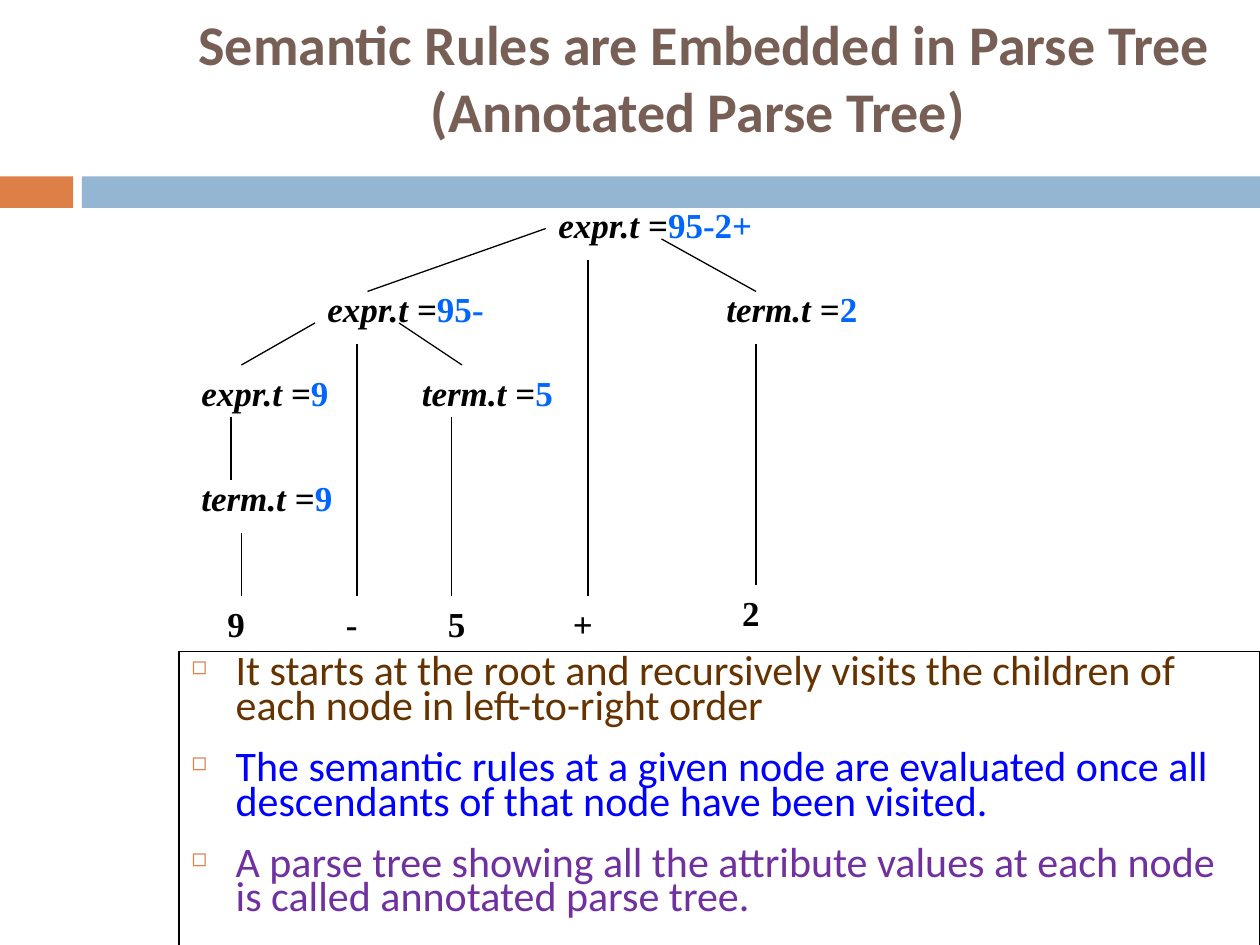
from dataclasses import dataclass

from lxml.etree import SubElement
from pptx import Presentation
from pptx.dml.color import RGBColor
from pptx.enum.shapes import MSO_CONNECTOR, MSO_SHAPE
from pptx.enum.text import MSO_ANCHOR, MSO_AUTO_SIZE, PP_ALIGN
from pptx.oxml.ns import qn
from pptx.util import Inches, Pt


@dataclass(frozen=True)
class Theme:
    """Colours, fonts and type sizes of the slide."""
    orange: str = "DD8047"
    band: str = "94B6D2"
    title: str = "775F55"
    ink: str = "000000"
    value: str = "0066FF"
    brown: str = "663300"
    blue: str = "0000FF"
    purple: str = "7030A0"
    sans: str = "Calibri"
    serif: str = "Times New Roman"
    title_size: int = 32
    body_size: int = 24
    node_size: int = 20
    line_width: float = 0.75


T = Theme()
CELL = 1 / 12
TREE_SHIFT = -0.02

NODES = [
    (52, 19, 21, "expr.t =", "95-2+"),
    (30, 27, 18, "expr.t =", "95-"),
    (68, 27, 18, "term.t =", "2"),
    (18, 35, 18, "expr.t =", "9"),
    (39, 35, 18, "term.t =", "5"),
    (18, 45, 18, "term.t =", "9"),
]
LEAVES = [(18, 57, "9"), (29, 57, "-"), (39, 57, "5"), (51, 57, "+"), (67, 56, "2")]
BRANCHES = [
    (52, 22, 35, 28), (56, 25, 56, 57), (63, 23, 72, 28),
    (30, 31, 23, 35), (34, 33, 34, 57), (44, 35, 38, 31),
    (22, 40, 22, 46), (43, 40, 43, 57), (72, 33, 72, 56), (23, 51, 23, 57),
]
POINTS = [
    ("It starts at the root and recursively visits the children of "
     "each node in left-to-right order", T.brown),
    ("The semantic rules at a given node are evaluated once all "
     "descendants of that node have been visited.", T.blue),
    ("A parse tree showing all the attribute values at each node "
     "is called annotated parse tree.", T.purple),
]


def rgb(color):
    """Turn a hex string into a colour."""
    return RGBColor.from_string(color)


def col(n):
    """Horizontal position of a tree column."""
    return Inches(n * CELL)


def row(n):
    """Vertical position of a tree row."""
    return Inches(n * CELL + TREE_SHIFT)


def place(sp, left, top, width, height):
    """Move and size a shape, in inches."""
    sp.left, sp.top = Inches(left), Inches(top)
    sp.width, sp.height = Inches(width), Inches(height)


def add_run(p, text, font, size, color, bold=False, italic=False):
    """Add one formatted run."""
    r = p.add_run()
    r.text = text
    r.font.name, r.font.size = font, Pt(size)
    r.font.bold, r.font.italic = bold, italic
    r.font.color.rgb = rgb(color)


def add_band(s, left, width, color):
    """Add one piece of the bar under the title."""
    sp = s.shapes.add_shape(MSO_SHAPE.RECTANGLE, Inches(left), Inches(1.4),
                            Inches(width), Inches(0.25))
    sp.shadow.inherit = False
    sp.fill.solid()
    sp.fill.fore_color.rgb = rgb(color)
    sp.line.fill.background()


def fill_title(sp, lines):
    """Write the centred title, one line per entry."""
    place(sp, 1.18, 0, 8.82, 1.22)
    tf = sp.text_frame
    tf.auto_size, tf.vertical_anchor = MSO_AUTO_SIZE.NONE, MSO_ANCHOR.MIDDLE
    p = tf.paragraphs[0]
    p.alignment = PP_ALIGN.CENTER
    for i, text in enumerate(lines):
        if i:
            p.add_line_break()
        add_run(p, text, T.sans, T.title_size, T.title, bold=True)


def set_bullet(p):
    """Give a paragraph a small orange square with a hanging indent."""
    pPr = p._p.get_or_add_pPr()
    pPr.set("marL", str(Inches(0.35)))
    pPr.set("indent", str(-Inches(0.35)))
    clr = SubElement(pPr, qn("a:buClr"))
    SubElement(clr, qn("a:srgbClr")).set("val", T.orange)
    SubElement(pPr, qn("a:buSzPct")).set("val", "60000")
    SubElement(pPr, qn("a:buChar")).set("char", "◻")


def fill_body(sp, points):
    """Write the outlined bullet list."""
    place(sp, 1.42, 5.17, 8.58, 2.5)
    sp.line.color.rgb = rgb(T.ink)
    sp.line.width = Pt(T.line_width)
    tf = sp.text_frame
    tf.auto_size, tf.vertical_anchor = MSO_AUTO_SIZE.NONE, MSO_ANCHOR.TOP
    for i, (text, color) in enumerate(points):
        p = tf.add_paragraph() if i else tf.paragraphs[0]
        set_bullet(p)
        p.alignment = PP_ALIGN.LEFT
        p.line_spacing = 0.69
        p.space_before = Pt(15 if i else 0)
        add_run(p, text, T.sans, T.body_size, color)


def add_label(tree, x, y, width, align):
    """Add a tree label box and return its paragraph."""
    sp = tree.shapes.add_textbox(col(x), row(y), col(width), Inches(0.44))
    sp.text_frame.word_wrap = True
    p = sp.text_frame.paragraphs[0]
    p.alignment = align
    return p


def add_node(tree, x, y, width, attribute, value):
    """Add an attribute with its value."""
    p = add_label(tree, x, y, width, PP_ALIGN.LEFT)
    add_run(p, attribute, T.serif, T.node_size, T.ink, bold=True, italic=True)
    add_run(p, value, T.serif, T.node_size, T.value, bold=True)


def add_leaf(tree, x, y, token):
    """Add a token at the foot of the tree."""
    p = add_label(tree, x, y, 9, PP_ALIGN.CENTER)
    add_run(p, token, T.serif, T.node_size, T.ink, bold=True)


def add_branch(tree, x1, y1, x2, y2):
    """Add a line between two grid points."""
    c = tree.shapes.add_connector(MSO_CONNECTOR.STRAIGHT,
                                  col(x1), row(y1), col(x2), row(y2))
    c.line.color.rgb = rgb(T.ink)
    c.line.width = Pt(T.line_width)
    SubElement(c._element.spPr, qn("a:effectLst"))


def main():
    """Build the slide and save it."""
    prs = Presentation()
    prs.slide_width, prs.slide_height = Inches(10), Inches(7.5)
    s = prs.slides.add_slide(prs.slide_layouts[1])
    add_band(s, 0, 0.58, T.orange)
    add_band(s, 0.65, 9.35, T.band)
    fill_title(s.shapes.title, ["Semantic Rules are Embedded in Parse Tree",
                                "(Annotated Parse Tree) "])
    fill_body(s.placeholders[1], POINTS)
    tree = s.shapes.add_group_shape()
    for add, items in ((add_node, NODES), (add_branch, BRANCHES), (add_leaf, LEAVES)):
        for item in items:
            add(tree, *item)
    prs.save("out.pptx")


if __name__ == "__main__":
    main()
